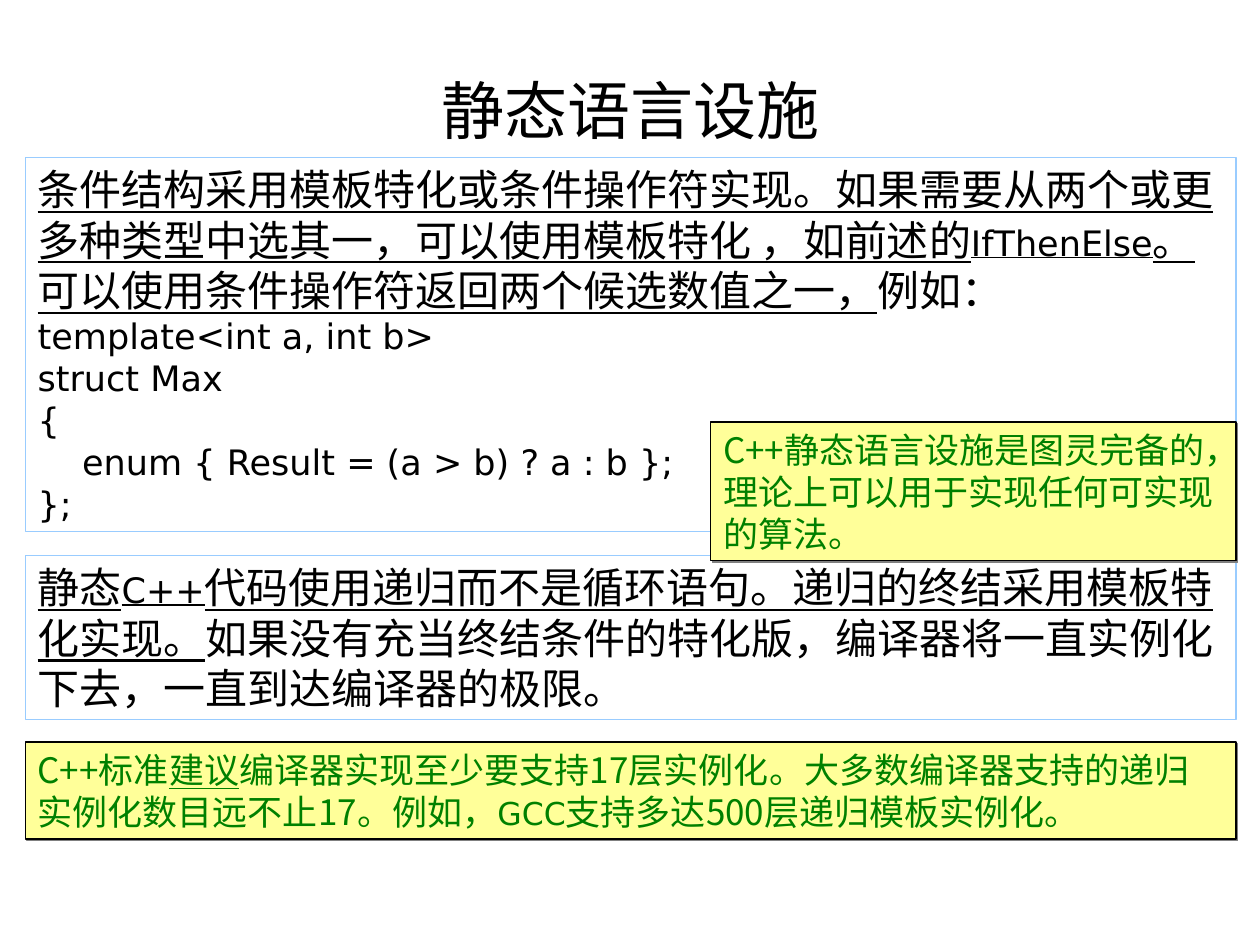
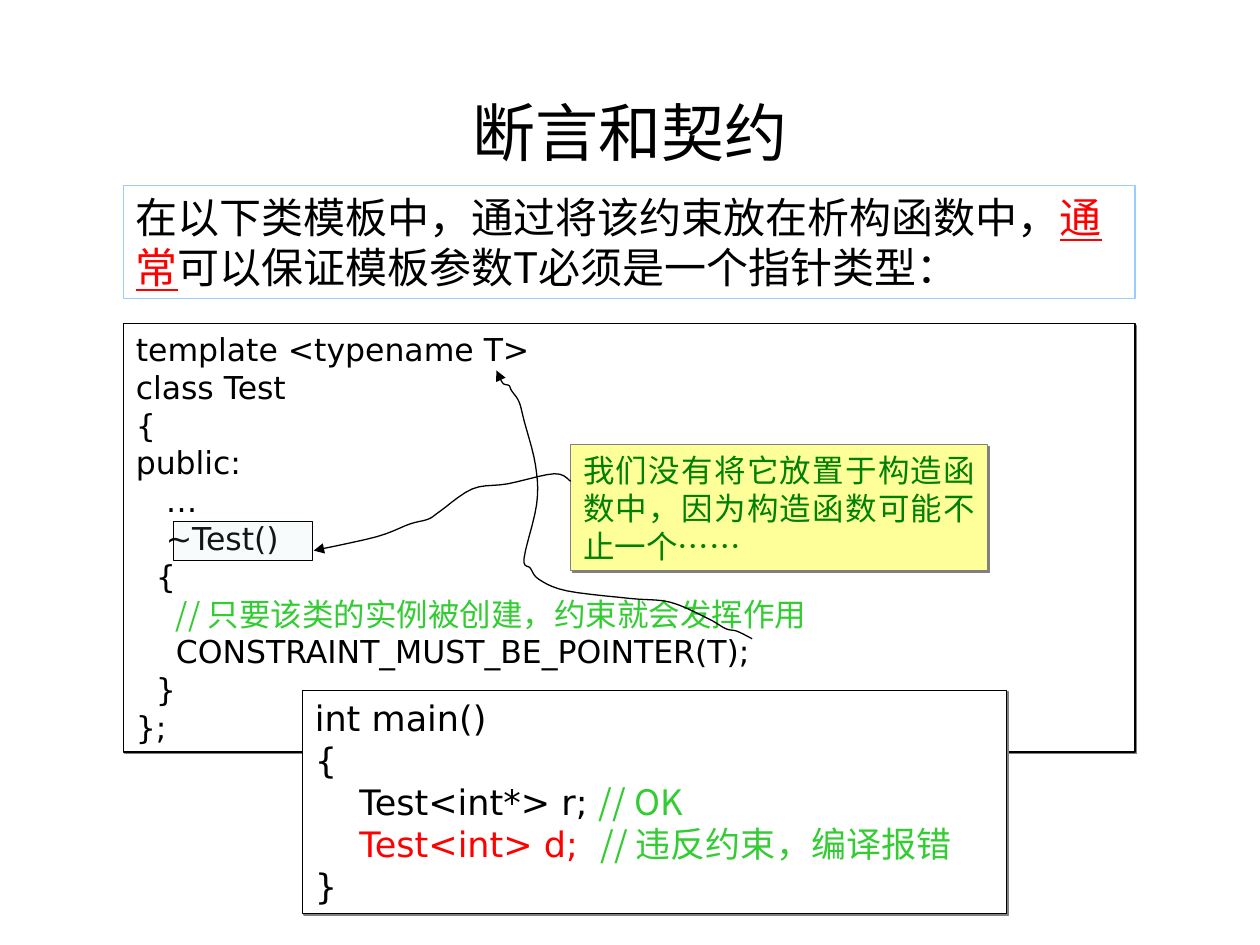
from collections import namedtuple

from lxml import etree
from pptx import Presentation
from pptx import util as u
from pptx.dml import color
from pptx.enum import shapes, text
from pptx.oxml import ns

COLORS = {
    "black": "000000", "white": "FFFFFF", "red": "FF0000", "frame": "99CCFF",
    "note": "FFFF99", "note_text": "008000", "comment": "33CC33",
    "gray": "808080", "mark": "BBE0E3",
}
CJK = "Noto Sans CJK JP"
CODE = "DejaVu Sans"
COLS, ROWS = 100, 75
CELL = u.Inches(10) // COLS
LINE_PITCH = 1.2

Run = namedtuple("Run", "text font size color underline",
                 defaults=(CJK, 24, "black", False))


class Box(namedtuple("Box", "x y w h")):
    def sub(self, x, y, w, h):
        return Box(self.x + x, self.y + y, w, h)

    def emu(self):
        return [round(v * CELL) for v in self]


def rgb(name):
    return color.RGBColor.from_string(COLORS[name])


def sub_element(parent, tag, **attrs):
    return etree.SubElement(parent, ns.qn(tag), attrs)


def add_shadow(sp):
    effects = sub_element(sp._element.spPr, "a:effectLst")
    shadow = sub_element(effects, "a:outerShdw", dist=str(u.Pt(1.4)),
                         dir="2700000", algn="ctr", rotWithShape="0")
    sub_element(shadow, "a:srgbClr", val=COLORS["gray"])


def write_runs(p, runs):
    p.line_spacing = u.Pt(LINE_PITCH * max(run.size for run in runs))
    for run in runs:
        r = p.add_run()
        r.text = run.text
        r.font.size = u.Pt(run.size)
        r.font.color.rgb = rgb(run.color)
        r.font.underline = run.underline
        r.font.name = run.font
        sub_element(r._r.rPr, "a:ea", typeface=CJK)


def code_lines(source, size):
    return [[Run(line, CODE, size)] for line in source.split("\n")]


def add_rect(s, box, fill=None, line="black"):
    sp = s.shapes.add_shape(shapes.MSO_SHAPE.RECTANGLE, *box.emu())
    if fill:
        sp.fill.solid()
        sp.fill.fore_color.rgb = rgb(fill)
    else:
        sp.fill.background()
    sp.line.color.rgb = rgb(line)
    sp.line.width = u.Pt(0.75)
    return sp


def add_panel(s, box, paragraphs, fill=None, line="black",
              align=text.PP_ALIGN.LEFT):
    sp = add_rect(s, box, fill, line)
    if fill:
        add_shadow(sp)
    else:
        sp.shadow.inherit = False
    tf = sp.text_frame
    tf.word_wrap = True
    tf.auto_size = text.MSO_AUTO_SIZE.SHAPE_TO_FIT_TEXT
    tf.vertical_anchor = text.MSO_ANCHOR.TOP
    for i, runs in enumerate(paragraphs):
        p = tf.add_paragraph() if i else tf.paragraphs[0]
        p.alignment = align
        write_runs(p, runs)


def add_mark(s, box):
    sp = add_rect(s, box, "mark")
    sp.shadow.inherit = False
    clr = sp._element.spPr.find(".//" + ns.qn("a:srgbClr"))
    sub_element(clr, "a:alpha", val="10000")


def smooth_curve(points, steps=5):
    padded = [points[0], *points, points[-1]]
    curve = [points[0]]
    for a, b, c, d in zip(padded, padded[1:], padded[2:], padded[3:]):
        for t in (k / steps for k in range(1, steps + 1)):
            curve.append(tuple(
                (2 * q + (r - p) * t + (2 * p - 5 * q + 4 * r - v) * t ** 2
                 + (3 * q - p - 3 * r + v) * t ** 3) / 2
                for p, q, r, v in zip(a, b, c, d)))
    return curve


def add_curved_arrow(s, box, points):
    curve = [(round((box.x + x) * CELL), round((box.y + y) * CELL))
             for x, y in smooth_curve(points)]
    builder = s.shapes.build_freeform(*curve[0])
    builder.add_line_segments(curve[1:], close=False)
    sp = builder.convert_to_shape()
    sp.fill.background()
    sp.shadow.inherit = False
    sp.line.color.rgb = rgb("black")
    sp.line.width = u.Pt(0.75)
    sub_element(sp.line._get_or_add_ln(), "a:tailEnd", type="triangle")


def add_slide(prs, title, title_top):
    s = prs.slides.add_slide(prs.slide_layouts[5])
    sp = s.shapes.title
    sp.left, sp.top, sp.width, sp.height = Box(5, title_top, 90, 8.5).emu()
    tf = sp.text_frame
    tf.vertical_anchor = text.MSO_ANCHOR.MIDDLE
    p = tf.paragraphs[0]
    p.alignment = text.PP_ALIGN.CENTER
    write_runs(p, [Run(title, "Arial", 36)])
    return s


def static_facilities(s, box):
    condition = [
        Run("条件结构采用模板特化或条件操作符实现。如果需要从两个或更多种类型中选其一，"
            "可以使用模板特化 ，如前述的", underline=True),
        Run("IfThenElse", CODE, 20, underline=True),
        Run("。可以使用条件操作符返回两个候选数值之一，", underline=True),
        Run("例如："),
    ]
    max_code = """template<int a, int b>
struct Max
{
    enum { Result = (a > b) ? a : b };
};"""
    recursion = [
        Run("静态", underline=True),
        Run("C++", CODE, 20, underline=True),
        Run("代码使用递归而不是循环语句。递归的终结采用模板特化实现。", underline=True),
        Run("如果没有充当终结条件的特化版，编译器将一直实例化下去，一直到达编译器的极限。"),
    ]
    depth = [
        Run("C++标准", CJK, 20, "note_text"),
        Run("建议", CJK, 20, "note_text", True),
        Run("编译器实现至少要支持17层实例化。大多数编译器支持的递归实例化数目远不止17。例如，",
            CJK, 20, "note_text"),
        Run("GCC", CODE, 18, "note_text"),
        Run("支持多达500层递归模板实例化。", CJK, 20, "note_text"),
    ]
    turing = [Run("C++静态语言设施是图灵完备的，理论上可以用于实现任何可实现的算法。",
                  CJK, 20, "note_text")]
    add_panel(s, box.sub(0, 0, box.w, 29.7),
              [condition, *code_lines(max_code, 20)], line="frame")
    add_panel(s, box.sub(0, 31.6, box.w, 13), [recursion], line="frame")
    add_panel(s, box.sub(0, 46.4, box.w, 7.7), [depth], "note")
    add_panel(s, box.sub(box.w - 41.7, 21, 41.7, 11), [turing], "note")


def pointer_contract(s, box):
    intro = [
        Run("在以下类模板中，通过将该约束放在析构函数中，"),
        Run("通常", color="red", underline=True),
        Run("可以保证模板参数T必须是一个指针类型："),
    ]
    add_panel(s, box.sub(0, 0, box.w, 9), [intro], line="frame")
    class_listing(s, box.sub(0, 11, box.w, 34))
    main_listing(s, box.sub(14.2, 40.1, 55.9, 17.7))
    callout_arrows(s, box.sub(0, 11, box.w, 34))


def class_listing(s, box):
    head = """template <typename T>
class Test
{
public:
   …
   ~Test()
  {"""
    tail = """    CONSTRAINT_MUST_BE_POINTER(T);
  }
};"""
    comment = [Run("    ", CODE, 18),
               Run("// 只要该类的实例被创建，约束就会发挥作用", CJK, 18, "comment")]
    reason = [Run("我们没有将它放置于构造函数中，因为构造函数可能不止一个……",
                  CJK, 18, "note_text")]
    add_panel(s, box, [*code_lines(head, 18), comment, *code_lines(tail, 18)],
              "white")
    add_panel(s, box.sub(35.5, 9.6, 33.1, 10), [reason], "note", "gray",
              text.PP_ALIGN.JUSTIFY)
    add_mark(s, box.sub(4, 15.7, 11, 3.1))


def main_listing(s, box):
    add_panel(s, box, [
        *code_lines("int main()\n{", 20),
        [Run("    Test<int*> r; ", CODE, 20), Run("// OK", CJK, 20, "comment")],
        [Run("    ", CODE, 20), Run("Test<int> d;  ", CODE, 20, "red"),
         Run("// 违反约束，编译报错", CJK, 20, "comment")],
        *code_lines("}", 20),
    ], "white")


def callout_arrows(s, box):
    add_curved_arrow(s, box, [
        (49.9, 25), (48.7, 24.4), (47.8, 24.2), (46.4, 23.4), (43.4, 22.1),
        (40.2, 21.8), (35.2, 21.2), (33, 20.3), (32.3, 19.4), (31.8, 18.6),
        (32.8, 14.3), (32.7, 11.2), (31.8, 7.7), (31.4, 6.2), (30.8, 5.3),
        (30.6, 4.9), (30.1, 4.7), (29.6, 3.7)])
    add_curved_arrow(s, box, [
        (35.5, 12.5), (34.2, 11.9), (30.5, 12.7), (27.7, 13.1), (25.1, 14.9),
        (24.2, 15.5), (22.7, 15.9), (20.1, 16.9), (15.1, 18)])


def main():
    prs = Presentation()
    prs.slide_width, prs.slide_height = COLS * CELL, ROWS * CELL
    static_facilities(add_slide(prs, "静态语言设施", 4.4),
                      Box(2, 12.5, 96.1, 54.1))
    pointer_contract(add_slide(prs, "断言和契约", 6.2),
                     Box(9.8, 14.7, 80.3, 57.8))
    prs.save("out.pptx")


if __name__ == "__main__":
    main()
